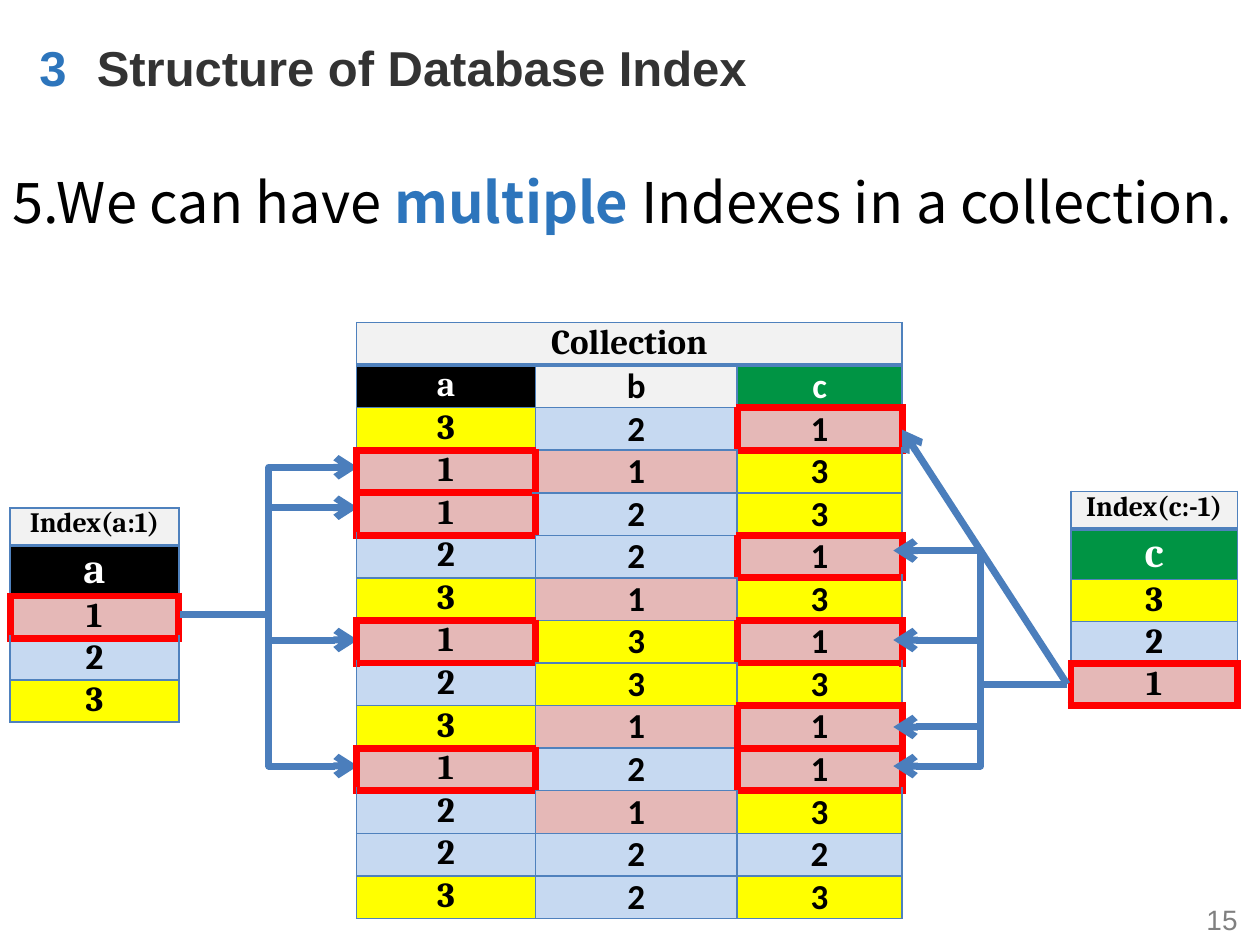
from lxml import etree
from pptx import Presentation
from pptx.dml.color import RGBColor
from pptx.enum import shapes, text
from pptx.oxml.ns import qn
from pptx.util import Inches, Pt

BLACK = RGBColor(0x00, 0x00, 0x00)
WHITE = RGBColor(0xFF, 0xFF, 0xFF)
DARK_GREY = RGBColor(0x33, 0x33, 0x33)
MID_GREY = RGBColor(0x80, 0x80, 0x80)
PALE_GREY = RGBColor(0xF2, 0xF2, 0xF2)
ACCENT = RGBColor(0x2D, 0x75, 0xBC)
GREEN = RGBColor(0x00, 0x94, 0x44)
RED = RGBColor(0xFF, 0x00, 0x00)
GRID = RGBColor(0x4F, 0x81, 0xBD)
ARROW = RGBColor(0x4B, 0x7E, 0xBC)

KEY_FILLS = {"a": BLACK, "b": PALE_GREY, "c": GREEN}
VALUE_FILLS = {
    "1": RGBColor(0xE5, 0xB8, 0xB7),
    "2": RGBColor(0xC6, 0xD9, 0xF1),
    "3": RGBColor(0xFF, 0xFF, 0x00),
}

# Columns a, b, c of each document
DOCUMENTS = ["321", "113", "123", "221", "313", "131", "233",
             "311", "121", "213", "222", "323"]


def add_run(paragraph, words, font_name, size, color, bold=False):
    run = paragraph.add_run()
    run.text = words
    run.font.name = font_name
    run.font.size = Pt(size)
    run.font.color.rgb = color
    run.font.bold = bold


def add_text(slide, box, runs, align=text.PP_ALIGN.LEFT,
             anchor=text.MSO_ANCHOR.MIDDLE, line_spacing=1.0):
    shape = slide.shapes.add_textbox(*map(Inches, box))
    frame = shape.text_frame
    frame.word_wrap = True
    frame.vertical_anchor = anchor
    paragraph = frame.paragraphs[0]
    paragraph.alignment = align
    paragraph.line_spacing = line_spacing
    for run in runs:
        add_run(paragraph, *run)


def set_border(cell, side, color, width):
    line = etree.SubElement(cell._tc.get_or_add_tcPr(), qn(f"a:ln{side}"), w=str(Pt(width)))
    fill = etree.SubElement(line, qn("a:solidFill"))
    etree.SubElement(fill, qn("a:srgbClr"), val=str(color))


def add_data_table(slide, box, title, keys, records, widths, heights, sizes):
    """Title row, key row and value rows; a 1 under an indexed key is framed red."""
    title_size, key_size, value_size = sizes
    rows = [[title] + [""] * (len(keys) - 1), list(keys)] + [list(record) for record in records]
    frame = slide.shapes.add_table(len(rows), len(keys), *map(Inches, box))
    table = frame.table
    for column, width in zip(table.columns, widths):
        column.width = Inches(width)
    for row, height in zip(table.rows, heights):
        row.height = Inches(height)

    def is_framed(r, c):
        inside = 2 <= r < len(rows) and 0 <= c < len(keys)
        return inside and keys[c] != "b" and rows[r][c] == "1"

    for r, values in enumerate(rows):
        for c, value in enumerate(values):
            cell = table.cell(r, c)
            cell.margin_left = cell.margin_right = Inches(0.08)
            cell.margin_top = cell.margin_bottom = 0
            cell.vertical_anchor = text.MSO_ANCHOR.TOP

            # Borders, shared with the neighbouring cell
            for side, dr, dc in (("L", 0, -1), ("R", 0, 1), ("T", -1, 0), ("B", 1, 0)):
                if is_framed(r, c) or is_framed(r + dr, c + dc):
                    set_border(cell, side, RED, 4.5)
                elif (r, side) in ((0, "B"), (1, "T")):
                    set_border(cell, side, GRID, 2.25)
                else:
                    set_border(cell, side, GRID, 1)

            # Fill and font by kind of row
            fill, size, color = PALE_GREY, title_size, BLACK
            if r == 1:
                fill, size = KEY_FILLS[value], key_size
                color = BLACK if value == "b" else WHITE
            elif r > 1:
                fill, size = VALUE_FILLS[value], value_size
            cell.fill.solid()
            cell.fill.fore_color.rgb = fill
            paragraph = cell.text_frame.paragraphs[0]
            paragraph.alignment = text.PP_ALIGN.CENTER
            if value:
                add_run(paragraph, value, "Cambria" if c == 0 else "Calibri", size, color, True)
    if len(keys) > 1:
        table.cell(0, 0).merge(table.cell(0, len(keys) - 1))


def add_index_table(slide, box, title, key, values):
    add_data_table(slide, box, title, key, values, [box[2]],
                   [0.3, 0.4] + [0.333] * 3, (16, 24, 20))


def add_collection(slide, box):
    row_count = len(DOCUMENTS) + 2
    add_data_table(slide, box, "Collection", "abc", DOCUMENTS, [1.42, 1.6, 1.31],
                   [box[3] / row_count] * row_count, (20, 20, 20))


def add_arrow(slide, kind, start, end):
    connector = slide.shapes.add_connector(kind, *map(Inches, (*start, *end)))
    connector.line.color.rgb = ARROW
    connector.line.width = Pt(4)
    line = connector.line._get_or_add_ln()
    etree.SubElement(line, qn("a:tailEnd"), type="arrow")
    etree.SubElement(connector._element.spPr, qn("a:effectLst"))


def add_elbow_arrows(slide, start, end_x, end_ys):
    for end_y in end_ys:
        add_arrow(slide, shapes.MSO_CONNECTOR.ELBOW, start, (end_x, end_y))


def add_heading(slide, box):
    left, top, width, height = box
    number_width = 0.5
    add_text(slide, (left, top, number_width, height),
             [("3", "Arial", 28, ACCENT, True)], text.PP_ALIGN.CENTER)
    add_text(slide, (left + number_width, top, width - number_width, height),
             [("Structure of Database Index", "Arial", 28, DARK_GREY, True)])


def add_statement(slide, box):
    font = "Noto Sans CJK SC"
    add_text(slide, box, [
        ("5.We can have ", font, 32, BLACK),
        ("multiple", font, 32, ACCENT, True),
        (" Indexes in a collection.", font, 32, BLACK),
    ], anchor=text.MSO_ANCHOR.TOP, line_spacing=1.2)


def main():
    presentation = Presentation()
    presentation.slide_width = Inches(10)
    presentation.slide_height = Inches(7.5)
    slide = presentation.slides.add_slide(presentation.slide_layouts[6])

    # Page number, heading and statement
    add_text(slide, (9.42, 7.1, 0.5, 0.4), [("15", "Arial", 16, MID_GREY)],
             text.PP_ALIGN.RIGHT)
    add_heading(slide, (0.17, 0.25, 9.25, 0.57))
    add_statement(slide, (0, 1.17, 10, 1.39))

    # Ascending index on a, pointing into the collection
    add_index_table(slide, (0.08, 4.03, 1.34, 1.7), "Index(a:1)", "a", "123")
    add_elbow_arrows(slide, (1.43, 4.88), 2.84, [3.71, 4.03, 5.08, 6.08])

    # Descending index on c and the collection
    add_index_table(slide, (8.5, 3.9, 1.32, 1.7), "Index(c:-1)", "c", "321")
    add_collection(slide, (2.83, 2.56, 4.33, 4.73))
    add_elbow_arrows(slide, (8.47, 5.43), 7.09, [6.08, 5.77, 5.08, 4.37])
    add_arrow(slide, shapes.MSO_CONNECTOR.STRAIGHT, (8.47, 5.43), (7.16, 3.41))

    presentation.save("out.pptx")


if __name__ == "__main__":
    main()
